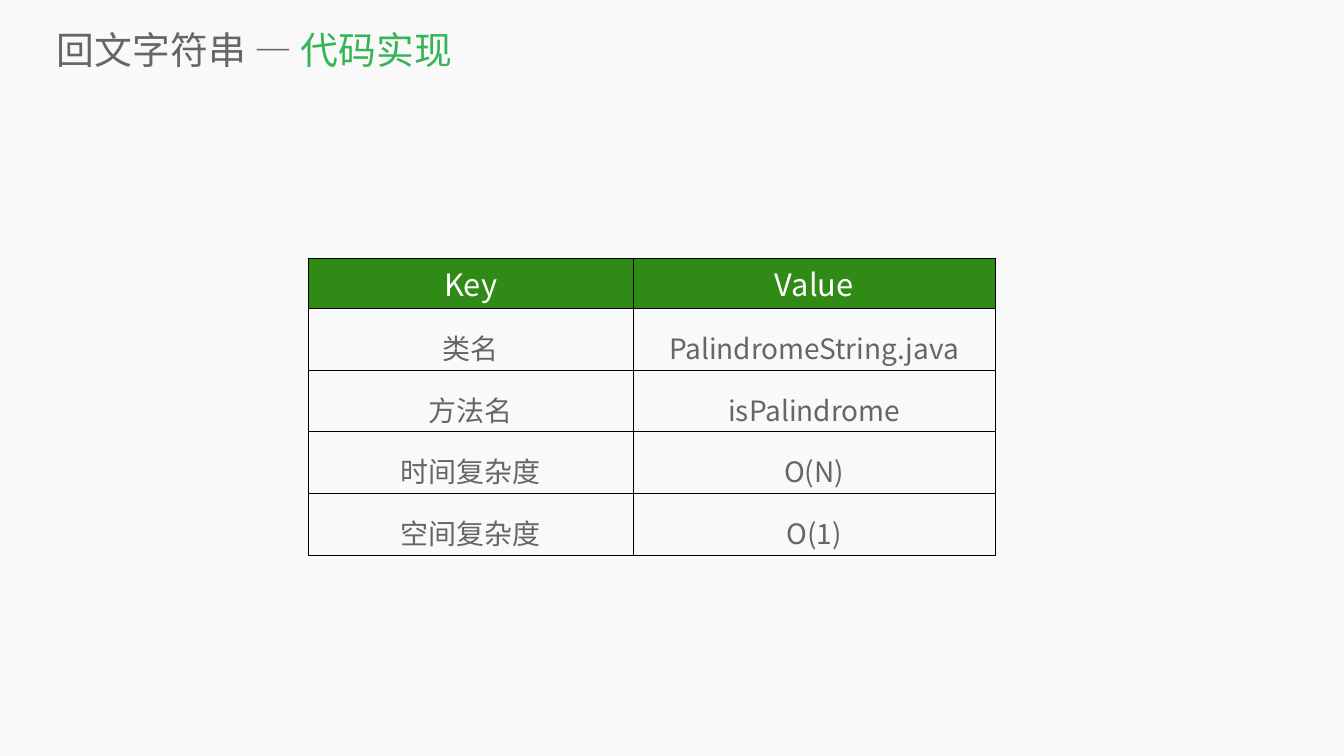
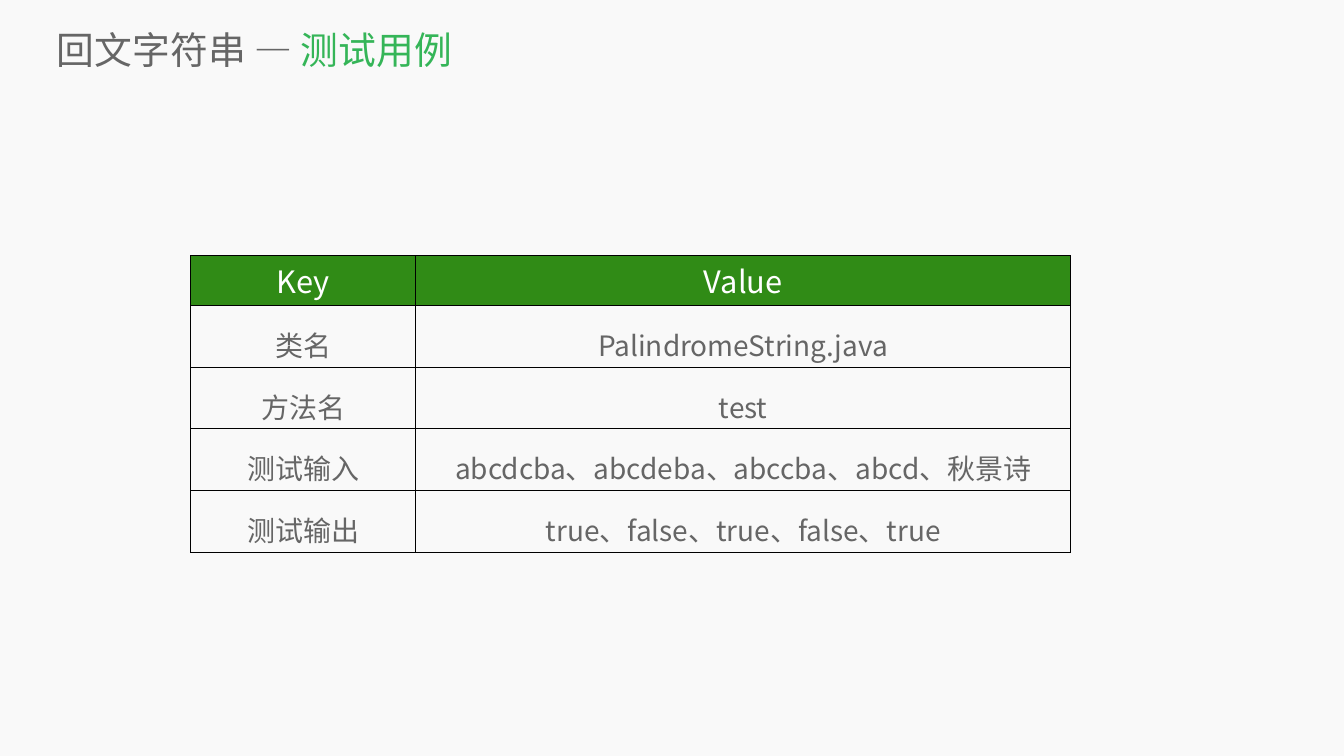
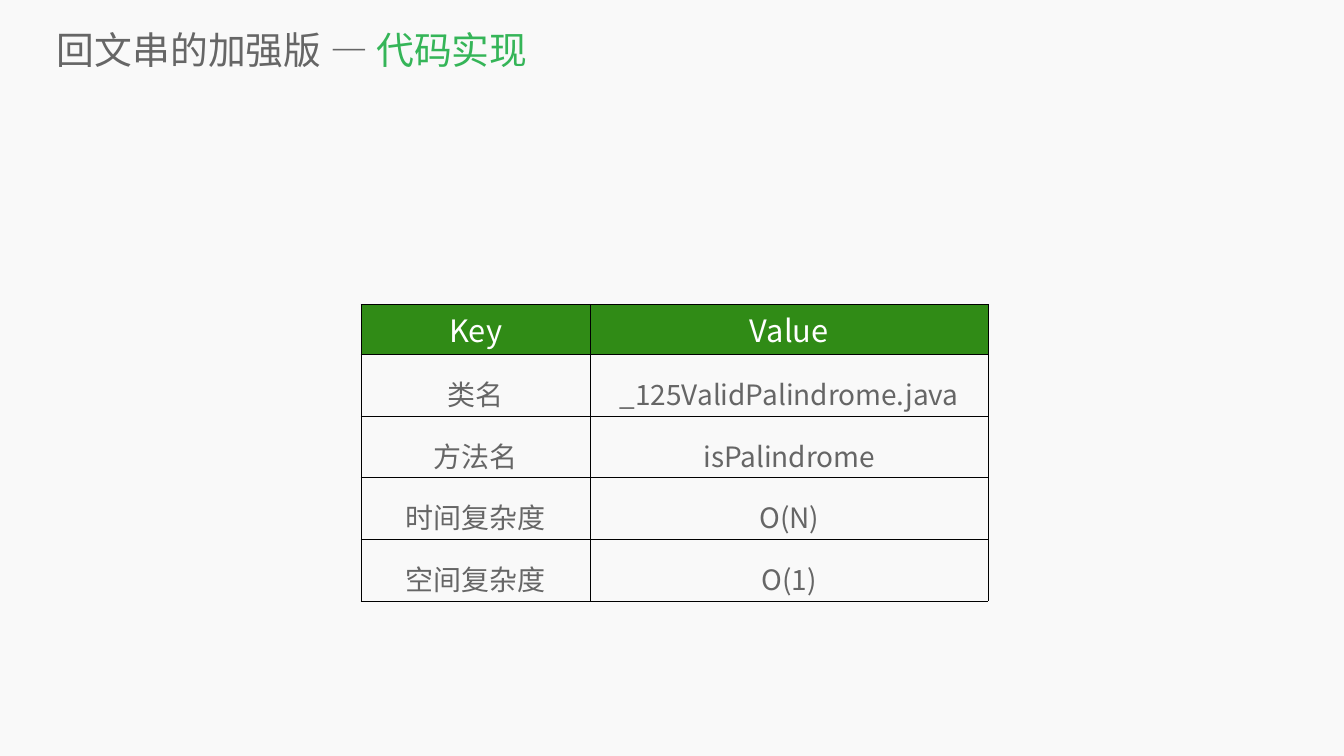
from lxml.etree import SubElement
from pptx import Presentation
from pptx.dml.color import RGBColor
from pptx.enum.text import MSO_ANCHOR, MSO_AUTO_SIZE, PP_ALIGN
from pptx.oxml.ns import qn
from pptx.util import Inches, Pt

FONT = "Noto Sans CJK SC"
PAPER, GREY, GREEN = "F9F9F9", "666666", "35B558"
HEADER_GREEN, WHITE, BLACK = "308B16", "FFFFFF", "000000"
PLAIN_TABLE_STYLE = "{2D5ABB26-0587-4C30-8999-92F81FD0307C}"


def paint(fill, colour):
    fill.solid()
    fill.fore_color.rgb = RGBColor.from_string(colour)


def set_font(paragraph, size, colour):
    font = paragraph.font
    font.size = Pt(size)
    font.name = FONT
    paint(font.fill, colour)
    properties = paragraph._p.pPr.find(qn("a:defRPr"))
    SubElement(properties, qn("a:ea"), typeface=FONT)


# Slide size, shared background and percent units
prs = Presentation()
prs.slide_width, prs.slide_height = Inches(26.67), Inches(15)
paint(prs.slide_master.background.fill, PAPER)
across, down = prs.slide_width / 100, prs.slide_height / 100
HEADER_ROW, BODY_ROW, TABLE_HEIGHT = 5.67, 5.53, 33.27

# Topic, part, table left and top, column widths (percent of the slide), rows
complexity = [("时间复杂度", "O(N)"), ("空间复杂度", "O(1)")]
pages = [
    ("回文字符串", "代码实现", 22.95, 34.2, (24.15, 26.96),
     [("类名", "PalindromeString.java"), ("方法名", "isPalindrome"), *complexity]),
    ("回文字符串", "测试用例", 14.17, 33.8, (16.76, 48.74),
     [("类名", "PalindromeString.java"), ("方法名", "test"),
      ("测试输入", "abcdcba、abcdeba、abccba、abcd、秋景诗"),
      ("测试输出", "true、false、true、false、true")]),
    ("回文串的加强版", "代码实现", 26.85, 40.27, (17.1, 29.55),
     [("类名", "_125ValidPalindrome.java"), ("方法名", "isPalindrome"), *complexity]),
]

for topic, part, left, top, widths, facts in pages:
    slide = prs.slides.add_slide(prs.slide_layouts[0])
    subtitle = slide.placeholders[1].element
    subtitle.getparent().remove(subtitle)

    # Title with the part in green
    title = slide.shapes.title
    title.left, title.top = int(4.24 * across), int(3.13 * down)
    title.width, title.height = int(94.34 * across), int(6.8 * down)
    frame = title.text_frame
    frame.margin_left = frame.margin_top = frame.margin_right = frame.margin_bottom = 0
    frame.vertical_anchor = MSO_ANCHOR.MIDDLE
    frame.auto_size = MSO_AUTO_SIZE.NONE
    heading = frame.paragraphs[0]
    heading.alignment = PP_ALIGN.LEFT
    set_font(heading, 54, GREY)
    for words, colour in ((f"{topic} — ", GREY), (part, GREEN)):
        run = heading.add_run()
        run.text = words
        paint(run.font.fill, colour)

    # Key and value table
    rows = [("Key", "Value"), *facts]
    table_frame = slide.shapes.add_table(
        len(rows), len(widths), int(left * across), int(top * down),
        int(sum(widths) * across), int(TABLE_HEIGHT * down))
    table = table_frame.table
    table.first_row = table.horz_banding = False
    table._tbl.tblPr.find(qn("a:tableStyleId")).text = PLAIN_TABLE_STYLE
    for column, width in zip(table.columns, widths):
        column.width = int(width * across)

    for r, row in enumerate(rows):
        is_header = r == 0
        table.rows[r].height = int((HEADER_ROW if is_header else BODY_ROW) * down)
        for c, words in enumerate(row):
            cell = table.cell(r, c)
            cell.text = words
            entry = cell.text_frame.paragraphs[0]
            entry.alignment = PP_ALIGN.CENTER
            if not is_header:
                entry.line_spacing = 1.4
            set_font(entry, 44 if is_header else 40, WHITE if is_header else GREY)

            # Thin black borders come before the fill in the cell properties
            cell_properties = cell._tc.get_or_add_tcPr()
            for side in ("a:lnL", "a:lnR", "a:lnT", "a:lnB"):
                border = SubElement(cell_properties, qn(side), w=str(Pt(1)))
                SubElement(SubElement(border, qn("a:solidFill")), qn("a:srgbClr"), val=BLACK)
            if is_header:
                paint(cell.fill, HEADER_GREEN)
            else:
                cell.fill.background()
    table_frame.height = int(TABLE_HEIGHT * down)

prs.save("out.pptx")
